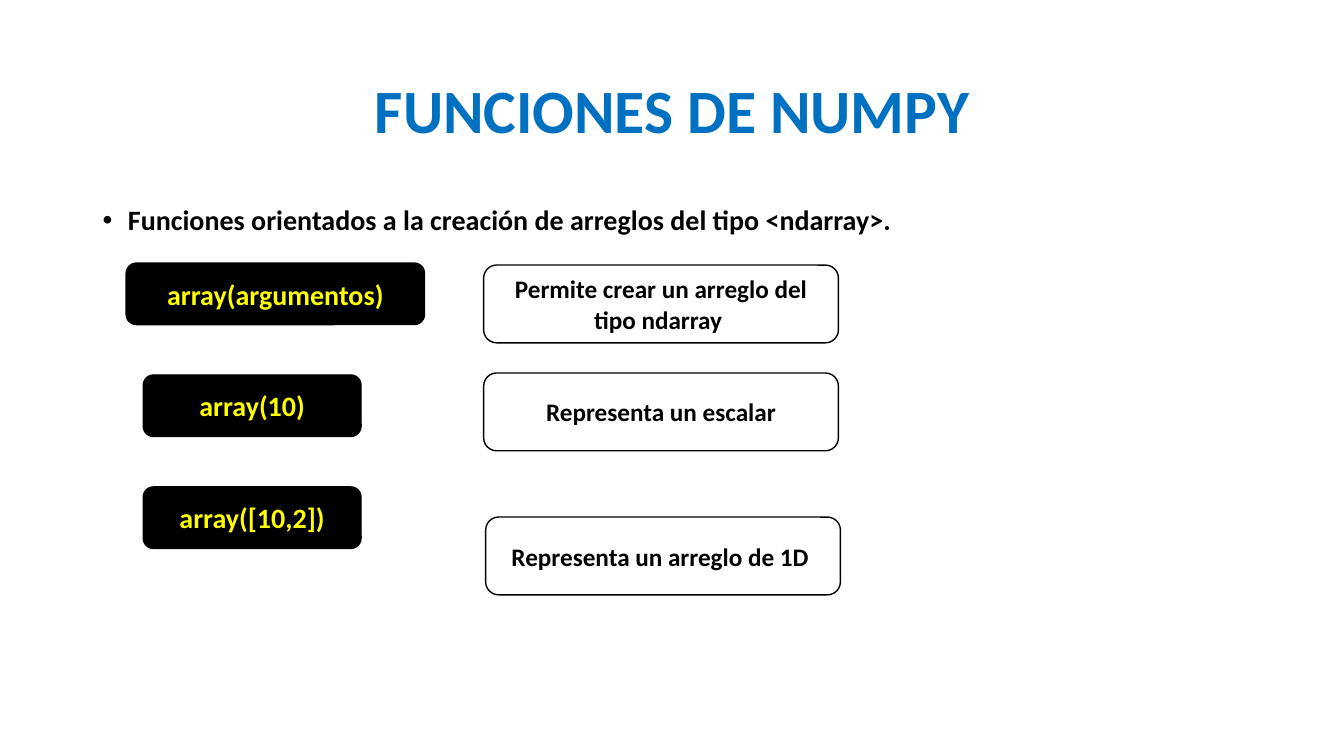
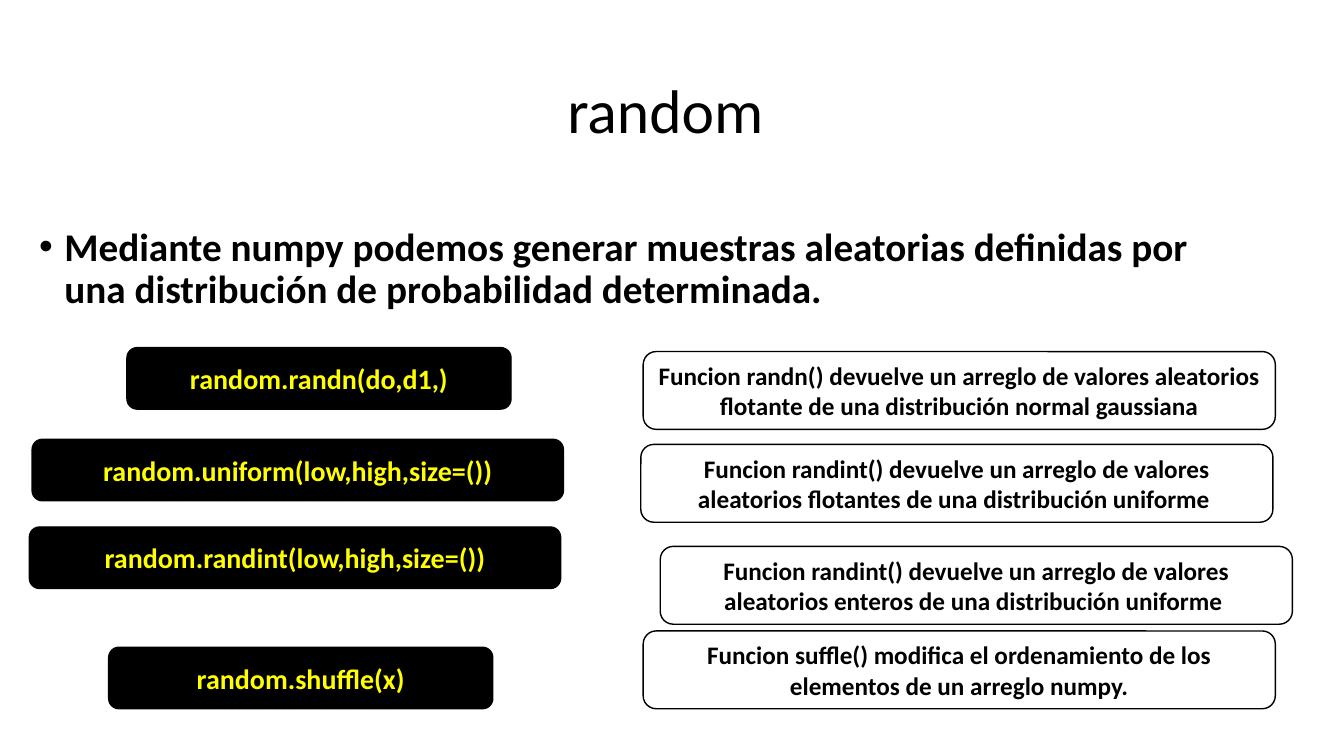
from lxml import etree
from pptx import Presentation
from pptx.dml.color import RGBColor
from pptx.enum.shapes import MSO_SHAPE
from pptx.enum.text import MSO_ANCHOR, MSO_AUTO_SIZE, PP_ALIGN
from pptx.oxml.ns import qn
from pptx.util import Cm, Pt

ROUNDED = MSO_SHAPE.ROUNDED_RECTANGLE
MIDDLE = MSO_ANCHOR.MIDDLE
NO_FIT = MSO_AUTO_SIZE.NONE
CENTER = PP_ALIGN.CENTER
LEFT = PP_ALIGN.LEFT

FONT = "Calibri"
BLACK, YELLOW, BLUE = "000000", "FFFF00", "0070C0"
TITLE_BOX = (2.34, 1.02, 29.21, 3.68)
CODE_HEIGHT, NOTE_HEIGHT = 1.55, 1.96
INDENT = Cm(0.635)

CODE = {"size": Pt(20), "bold": True, "color": YELLOW}
NOTE = {"size": Pt(18), "bold": True, "color": BLACK}

SLIDES = [
    {
        "title": ("FUNCIONES DE NUMPY", {"size": Pt(44), "bold": True, "color": BLUE}),
        "intro": ("Funciones orientados a la creación de arreglos del tipo <ndarray>.",
                  (2.34, 5.08, 29.21, 12.09), 20),
        "origin": (3.18, 6.63),
        "note_width": 8.94,
        "functions": [
            ("array(argumentos)", (0, 0, 7.52),
             "Permite crear un arreglo del tipo ndarray ", (9.01, 0.05)),
            ("array(10)", (0.43, 2.82, 5.49),
             "Representa un escalar", (9.01, 2.77)),
            ("array([10,2])", (0.43, 5.64, 5.49),
             "Representa un arreglo de 1D ", (9.06, 6.4)),
        ],
    },
    {
        "title": ("random ", {"size": Pt(44), "bold": False, "color": BLACK}),
        "intro": ("Mediante numpy podemos generar muestras aleatorias definidas por "
                  "una distribución de probabilidad determinada.",
                  (0.74, 5.61, 30.84, 2.6), 28),
        "origin": (0.74, 8.76),
        "note_width": 15.93,
        "functions": [
            ("random.randn(do,d1,)", (2.46, 0, 9.68),
             "Funcion randn() devuelve un arreglo de valores aleatorios flotante "
             "de una distribución normal gaussiana", (15.47, 0.1)),
            ("random.uniform(low,high,size=())", (0.07, 2.31, 13.39),
             "Funcion randint() devuelve un arreglo de valores aleatorios flotantes "
             "de una distribución uniforme ", (15.41, 2.44)),
            ("random.randint(low,high,size=())", (0, 4.52, 13.39),
             "Funcion randint() devuelve un arreglo de valores aleatorios enteros "
             "de una distribución uniforme ", (15.9, 5.01)),
            ("random.shuffle(x)", (2, 7.55, 9.68),
             "Funcion suffle() modifica el ordenamiento de los elementos "
             "de un arreglo numpy.", (15.47, 7.14)),
        ],
    },
]


def rgb(value):
    return RGBColor.from_string(value)


def write(frame, text, style, align=CENTER):
    frame.word_wrap = True
    frame.auto_size = NO_FIT
    paragraph = frame.paragraphs[0]
    paragraph.alignment = align
    run = paragraph.add_run()
    run.text = text
    run.font.name = FONT
    for key, value in style.items():
        if key == "color":
            run.font.color.rgb = rgb(value)
        else:
            setattr(run.font, key, value)
    return paragraph


def add_title(slide, box, text, style):
    title = slide.shapes.title
    for side, value in zip(("left", "top", "width", "height"), box):
        setattr(title, side, Cm(value))
    title.text_frame.vertical_anchor = MIDDLE
    write(title.text_frame, text, style).line_spacing = 0.9


def add_intro(slide, text, box, size):
    intro = slide.shapes.add_textbox(*map(Cm, box))
    style = {"size": Pt(size), "bold": True, "color": BLACK}
    paragraph = write(intro.text_frame, text, style, LEFT)
    paragraph.line_spacing = 0.9
    paragraph.space_before = Pt(10)
    properties = paragraph._p.get_or_add_pPr()
    properties.set("marL", str(INDENT))
    properties.set("indent", str(-INDENT))
    etree.SubElement(properties, qn("a:buFont"), typeface="Arial")
    etree.SubElement(properties, qn("a:buChar"), char="•")


def add_card(slide, box, text, style, fill=None):
    card = slide.shapes.add_shape(ROUNDED, *map(Cm, box))
    card.shadow.inherit = False
    if fill:
        card.fill.solid()
        card.fill.fore_color.rgb = rgb(fill)
    else:
        card.fill.background()
    card.line.color.rgb = rgb(BLACK)
    card.line.width = Pt(1)
    card.text_frame.vertical_anchor = MIDDLE
    write(card.text_frame, text, style)


def add_functions(slide, origin, functions, note_width):
    left, top = origin
    for code, (code_x, code_y, code_width), note, (note_x, note_y) in functions:
        code_box = (left + code_x, top + code_y, code_width, CODE_HEIGHT)
        note_box = (left + note_x, top + note_y, note_width, NOTE_HEIGHT)
        add_card(slide, code_box, code, CODE, BLACK)
        add_card(slide, note_box, note, NOTE)


def main():
    deck = Presentation()
    deck.slide_width, deck.slide_height = Cm(33.87), Cm(19.05)
    title_only = deck.slide_layouts[5]
    for content in SLIDES:
        slide = deck.slides.add_slide(title_only)
        add_title(slide, TITLE_BOX, *content["title"])
        add_intro(slide, *content["intro"])
        add_functions(slide, content["origin"], content["functions"], content["note_width"])
    deck.save("out.pptx")


if __name__ == "__main__":
    main()
